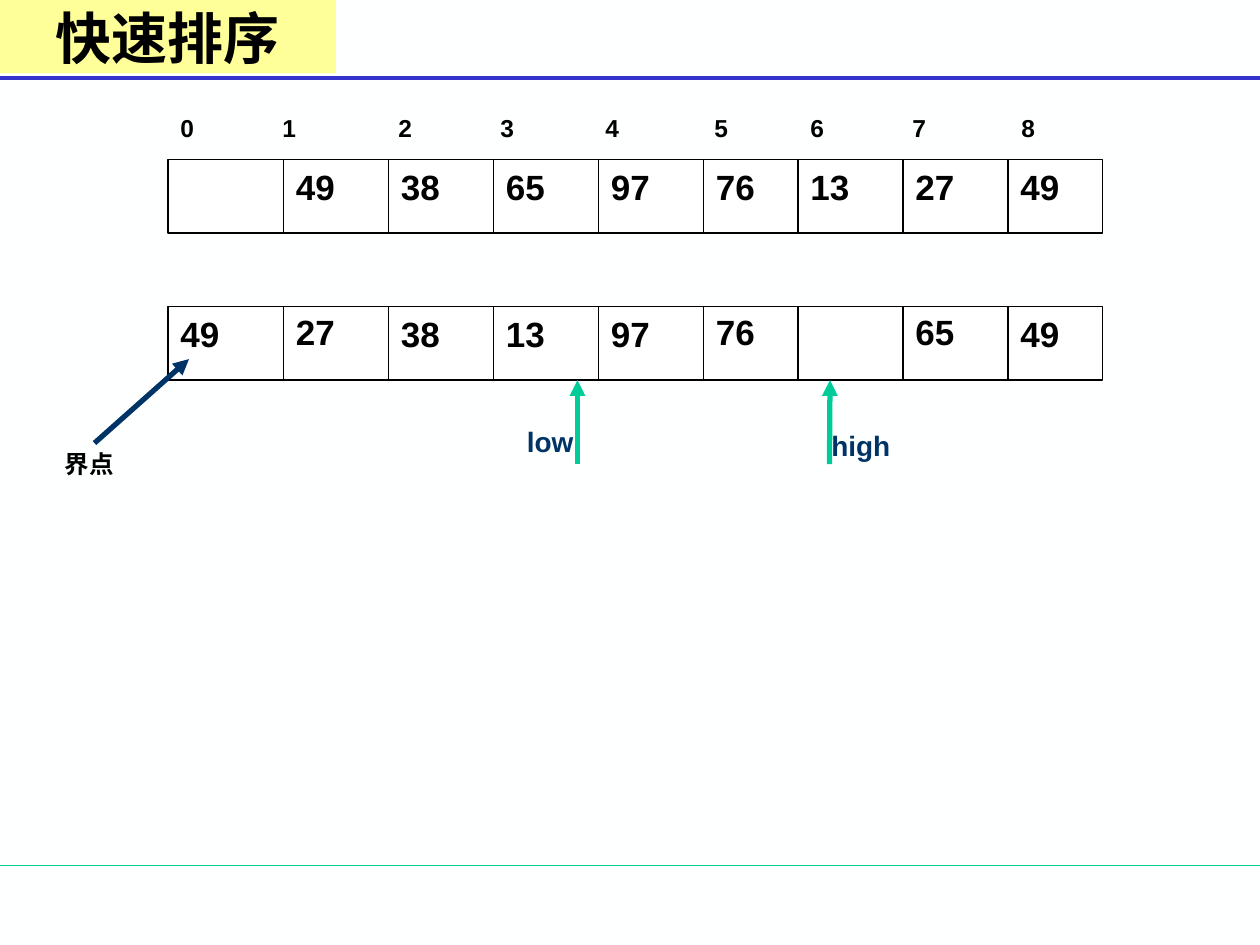
from itertools import accumulate
from lxml import etree
from pptx import Presentation
from pptx.dml.color import RGBColor
from pptx.enum.shapes import MSO_CONNECTOR, MSO_SHAPE
from pptx.enum.text import MSO_ANCHOR, PP_ALIGN
from pptx.oxml.ns import qn
from pptx.util import Pt

LINE = MSO_CONNECTOR.STRAIGHT
RECT = MSO_SHAPE.RECTANGLE
MIDDLE = MSO_ANCHOR.MIDDLE
LEFT, CENTER = PP_ALIGN.LEFT, PP_ALIGN.CENTER

THEME = {
    "back": "FEFFFF", "cell": "FFFFFF", "ink": "000000", "navy": "003366",
    "green": "00CC99", "blue": "3333CC", "yellow": "FFFF99",
    "body": "Arial", "head": "Times New Roman",
    "title": 32, "value": 20, "mark": 16, "small": 14,
    "thin": 0.75, "rule": 2.25, "thick": 3,
}

TITLE = "快速排序"
INDEX = "\t".join(str(n) for n in range(9))
TABS = [58.3, 124.6, 182.9, 242.9, 305.1, 360, 418.3, 480.6]
WIDTHS = [66, 60, 60, 60, 60, 54, 60, 60, 54]
# Row top, cell values, and the columns whose value sits slightly higher
ROWS = [
    (175.2, ["49", "27", "38", "13", "97", "76", "", "65", "49"], {1, 5, 7}),
    (91.2, ["", "49", "38", "65", "97", "76", "13", "27", "49"], set()),
]
HIGH = 42
RAISE = 1.5
# Label, left, top, width, size, colour
LABELS = [
    ("high", 468, 241.2, 66, "mark", "navy"),
    ("low", 294, 239, 66, "mark", "navy"),
    ("界点", 30, 253.2, 60, "small", "ink"),
]
# Start x, start y, end x, end y, colour
ARROWS = [
    (474, 265.2, 474.3, 217.2, "green"),
    (330, 265.2, 330, 217.2, "green"),
    (54, 253.2, 108, 205.2, "navy"),
]


def color(name):
    return RGBColor.from_string(THEME[name])


def line(slide, x1, y1, x2, y2, tint="ink", width="thin", arrow=False):
    link = slide.shapes.add_connector(LINE, Pt(x1), Pt(y1), Pt(x2), Pt(y2))
    link.line.color.rgb = color(tint)
    link.line.width = Pt(THEME[width])
    if arrow:
        etree.SubElement(link.line._get_or_add_ln(), qn("a:tailEnd"), type="triangle")
    etree.SubElement(link._element.spPr, qn("a:effectLst"))


def rect(slide, x, y, w, h, fill, edge=None):
    box = slide.shapes.add_shape(RECT, Pt(x), Pt(y), Pt(w), Pt(h))
    box.shadow.inherit = False
    box.fill.solid()
    box.fill.fore_color.rgb = color(fill)
    if edge:
        box.line.color.rgb = color(edge)
        box.line.width = Pt(THEME["thin"])
    else:
        box.line.fill.background()
    return box


def write(shape, text, size, tint="ink", face="body", align=LEFT, tabs=()):
    frame = shape.text_frame
    frame.word_wrap = True
    para = frame.paragraphs[0]
    para.alignment = align
    if tabs:
        stops = etree.SubElement(para._p.get_or_add_pPr(), qn("a:tabLst"))
        for stop in tabs:
            etree.SubElement(stops, qn("a:tab"), pos=str(Pt(stop)), algn="l")
    run = para.add_run()
    run.text = text
    run.font.name = THEME[face]
    run.font.size = Pt(THEME[size])
    run.font.bold = True
    run.font.color.rgb = color(tint)


def label(slide, text, x, y, w, size, tint="ink", tabs=()):
    high = THEME[size] * 1.2 + 7.2
    box = slide.shapes.add_textbox(Pt(x), Pt(y), Pt(w), Pt(high))
    write(box, text, size, tint, tabs=tabs)


def main():
    deck = Presentation()
    deck.slide_width, deck.slide_height = Pt(720), Pt(540)
    slide = deck.slides.add_slide(deck.slide_layouts[6])
    slide.background.fill.solid()
    slide.background.fill.fore_color.rgb = color("back")

    line(slide, 0, 494.6, 720, 494.6, "green")
    line(slide, 0, 44.6, 720, 44.6, "blue", "rule")

    *lefts, end = accumulate(WIDTHS, initial=96)
    span = end - lefts[0]
    for top, values, raised in ROWS:
        rect(slide, lefts[0], top, span, HIGH, "cell", "ink")
        for x in lefts[1:]:
            line(slide, x, top, x, top + HIGH)
        for col, (x, value) in enumerate(zip(lefts, values)):
            if value:
                y = top - RAISE if col in raised else top
                label(slide, value, x, y, 48, "value")
    label(slide, INDEX, lefts[0], 61.2, span, "small", tabs=TABS)

    for arrow in ARROWS:
        line(slide, *arrow, width="thick", arrow=True)
    for item in LABELS:
        label(slide, *item)

    head = rect(slide, 0, 0, 192, 42, "yellow")
    head.text_frame.vertical_anchor = MIDDLE
    write(head, TITLE, "title", face="head", align=CENTER)
    deck.save("out.pptx")


if __name__ == "__main__":
    main()
